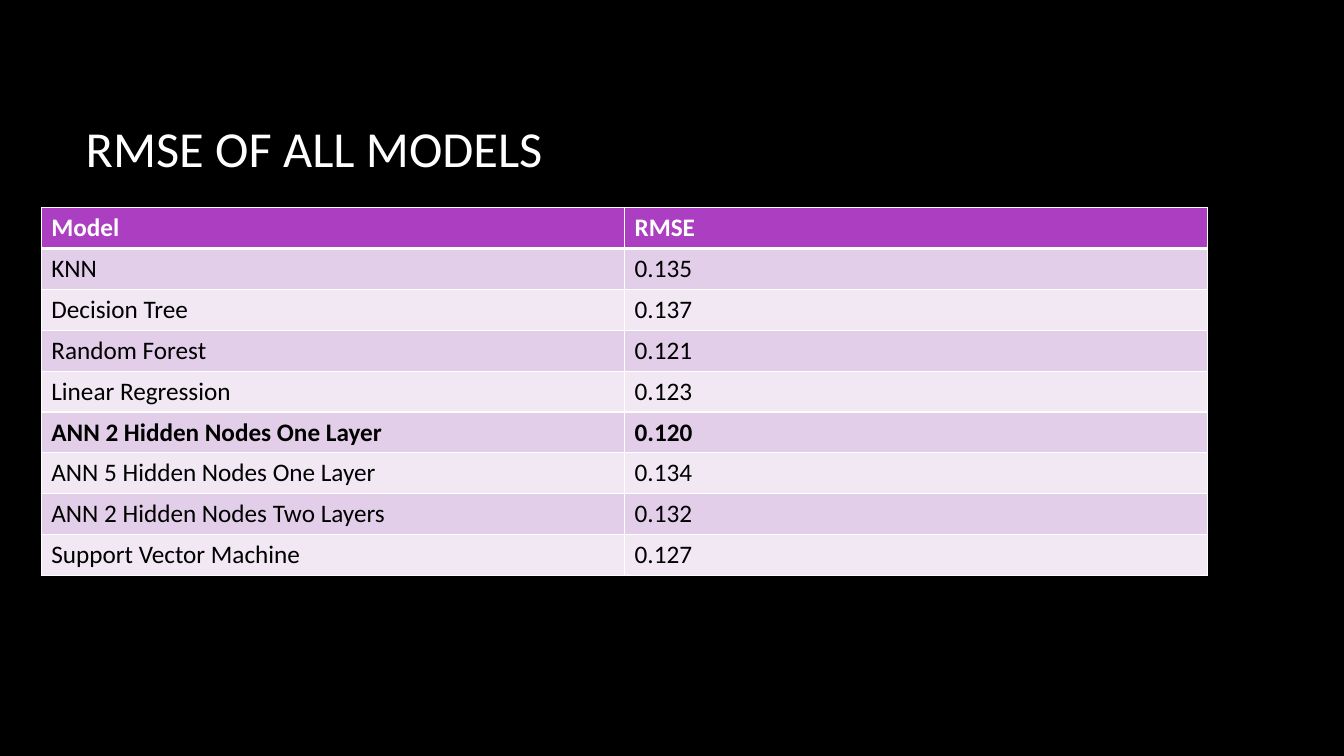
"""Build a slide with a table comparing the RMSE of all models."""
from dataclasses import dataclass

from lxml.etree import SubElement
from pptx import Presentation
from pptx.dml.color import RGBColor
from pptx.enum.text import MSO_ANCHOR, PP_ALIGN
from pptx.oxml.ns import qn
from pptx.slide import Slide
from pptx.table import _Cell as Cell
from pptx.text.text import TextFrame
from pptx.util import Inches, Pt

FONT = "Calibri"
BLACK = "000000"
WHITE = "FFFFFF"
HEADER_FILL = "AC3EC1"
BAND_FILLS = ("E3CEE9", "F1E8F4")
THIN, THICK = 1, 3


@dataclass
class ModelScore:
    model: str
    rmse: str
    best: bool = False


HEADER = ModelScore("Model", "RMSE")
SCORES = [
    ModelScore("KNN", "0.135"),
    ModelScore("Decision Tree", "0.137"),
    ModelScore("Random Forest", "0.121"),
    ModelScore("Linear Regression", "0.123"),
    ModelScore("ANN 2 Hidden Nodes One Layer", "0.120", best=True),
    ModelScore("ANN 5 Hidden Nodes One Layer", "0.134"),
    ModelScore("ANN 2 Hidden Nodes Two Layers", "0.132"),
    ModelScore("Support Vector Machine", "0.127"),
]


def colour(value: str) -> RGBColor:
    return RGBColor.from_string(value)


def write(frame: TextFrame, text: str, size: int, ink: str, bold: bool = False) -> None:
    frame.text = text
    para = frame.paragraphs[0]
    para.alignment = PP_ALIGN.LEFT
    font = para.runs[0].font
    font.name, font.size, font.bold = FONT, Pt(size), bold
    font.color.rgb = colour(ink)


def add_borders(cell: Cell, top: int, bottom: int) -> None:
    properties = cell._tc.get_or_add_tcPr()
    for side, width in (("L", THIN), ("R", THIN), ("T", top), ("B", bottom)):
        line = SubElement(properties, qn(f"a:ln{side}"), w=str(Pt(width)))
        fill = SubElement(line, qn("a:solidFill"))
        SubElement(fill, qn("a:srgbClr"), val=WHITE)


def add_title(page: Slide) -> None:
    title = page.shapes.title
    title.left, title.top = Inches(0.75), Inches(0.67)
    title.width, title.height = Inches(11.08), Inches(1.59)
    title.text_frame.vertical_anchor = MSO_ANCHOR.MIDDLE
    write(title.text_frame, "RMSE OF ALL MODELS", 36, WHITE)


def add_score_table(page: Slide) -> None:
    rows = [HEADER, *SCORES]
    table = page.shapes.add_table(
        len(rows), 2, Inches(0.41), Inches(2.06), Inches(11.57), Inches(3.65)
    ).table
    for index, score in enumerate(rows):
        is_header = index == 0
        fill = HEADER_FILL if is_header else BAND_FILLS[(index - 1) % 2]
        ink = WHITE if is_header else BLACK
        for column, text in enumerate((score.model, score.rmse)):
            cell = table.cell(index, column)
            write(cell.text_frame, text, 18, ink, is_header or score.best)
            add_borders(cell, THICK if index == 1 else THIN, THICK if is_header else THIN)
            cell.fill.solid()
            cell.fill.fore_color.rgb = colour(fill)


def main() -> None:
    deck = Presentation()
    deck.slide_width, deck.slide_height = Inches(13.33), Inches(7.5)
    page = deck.slides.add_slide(deck.slide_layouts.get_by_name("Title Only"))
    page.background.fill.solid()
    page.background.fill.fore_color.rgb = colour(BLACK)
    add_title(page)
    add_score_table(page)
    deck.save("out.pptx")


if __name__ == "__main__":
    main()
